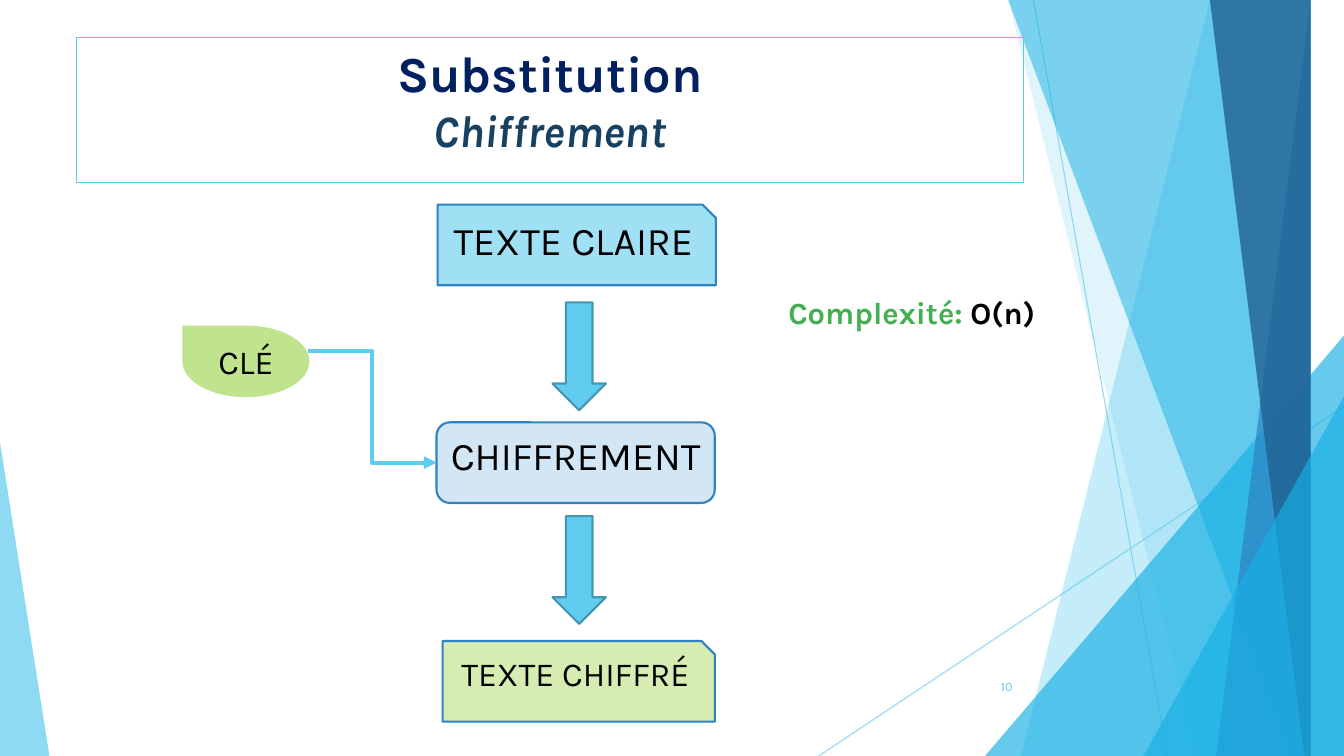
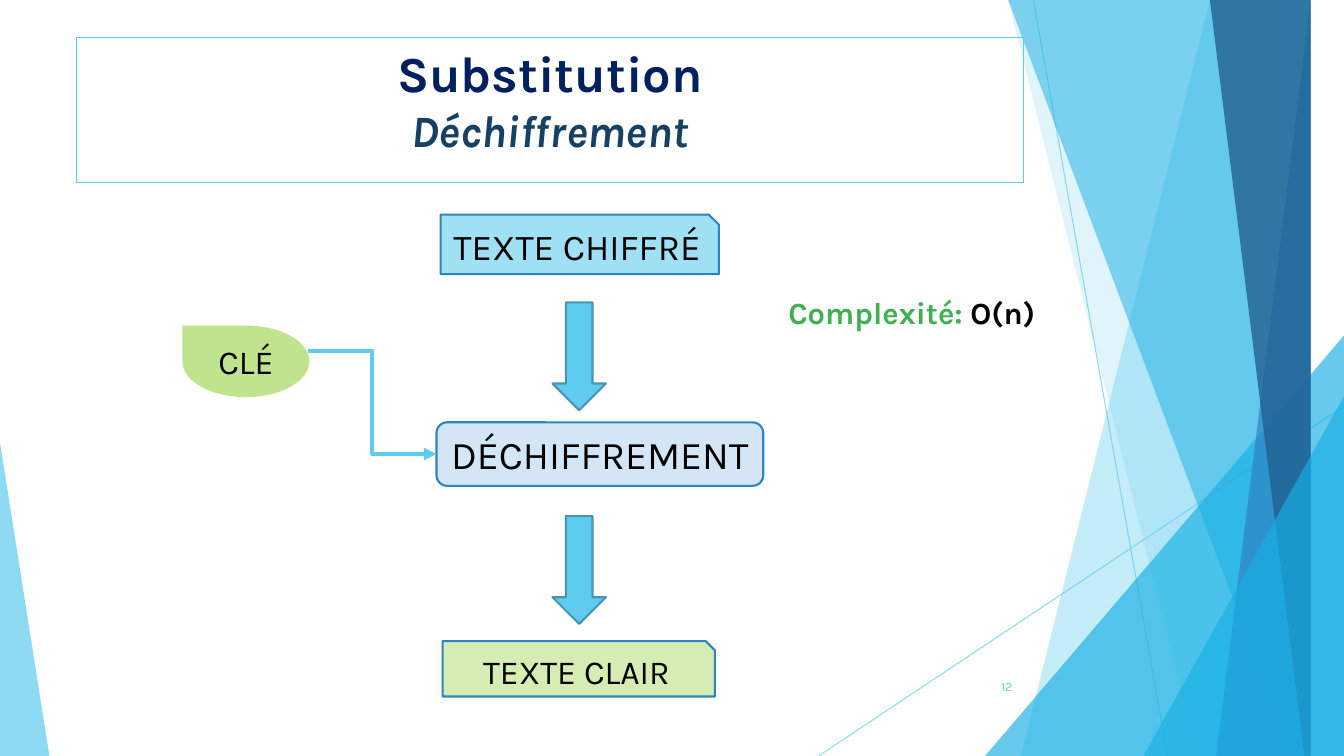
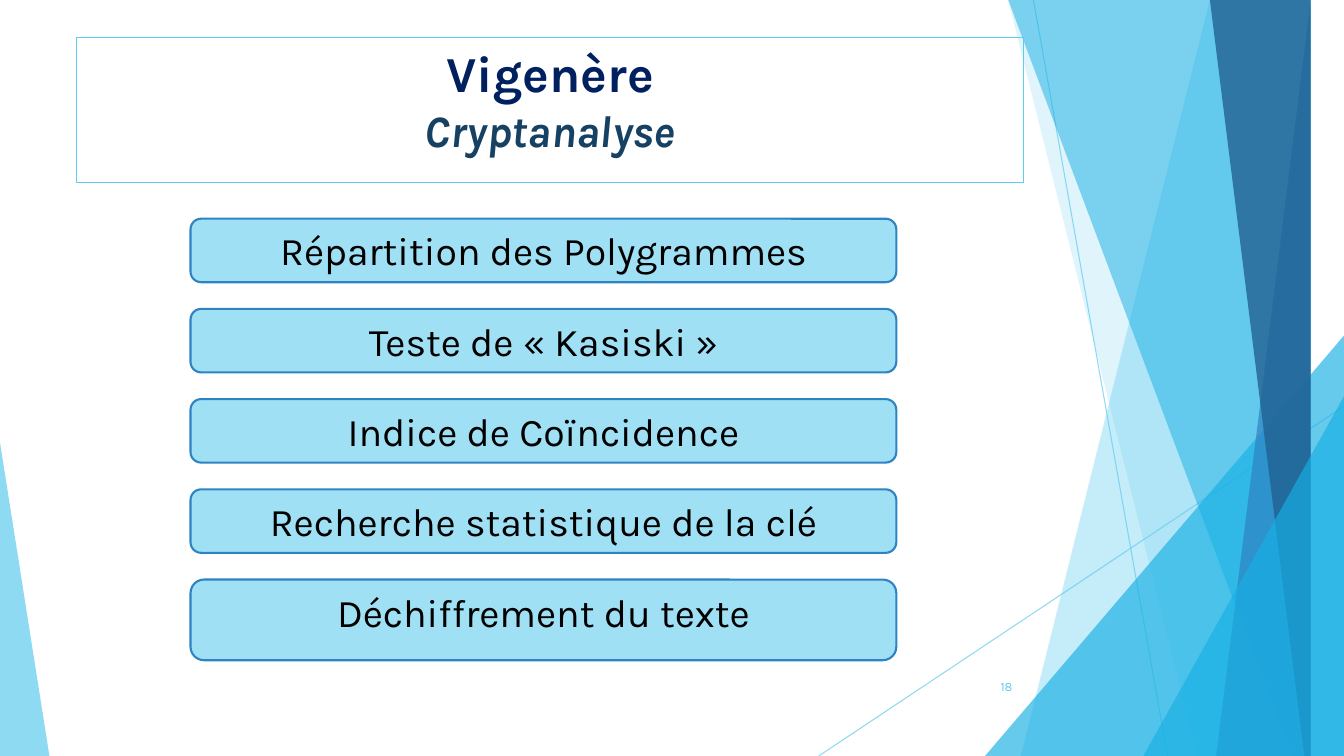
from collections import namedtuple

from lxml import etree
from pptx import Presentation
from pptx import util as u
from pptx.dml import color
from pptx.enum import shapes, text
from pptx.oxml import ns

Box = namedtuple("Box", "left top width height")
Step = namedtuple("Step", "label box size")

FONT = "Karla"
COLORS = {
    "sky": "5FCBEF", "cyan": "17B0E4", "blue": "2E83C3", "deep": "226292",
    "pale_sky": "9FE0F5", "pale_blue": "D3E6F5", "leaf": "C0E38D",
    "pale_leaf": "D5EDB3", "arrow_edge": "4696B1", "title": "002060",
    "subtitle": "174162", "green": "42B051", "black": "000000",
}
SHAPE = shapes.MSO_SHAPE
ALIGN = text.PP_ALIGN
WIDTH, HEIGHT = 13.33, 7.5
TITLE_BOX = Box(0.76, 0.37, 9.39, 1.44)
NUMBER_BOX = Box(9.39, 6.61, 0.75, 0.4)
FLOW_BOX = Box(1.81, 2.03, 5.76, 5.13)
COMPLEXITY_BOX = Box(7.72, 2.86, 2.71, 1.21)
STEPS_BOX = Box(1.89, 2.17, 7, 4.38)


def inches(*lengths):
    """Convert several numbers to inch lengths."""
    return [u.Inches(length) for length in lengths]


def within(region, box):
    """Turn a box measured from a region's corner into a slide box."""
    return box._replace(left=region.left + box.left, top=region.top + box.top)


def paint(fill, name, opacity=100):
    """Give a fill a palette colour and an opacity in percent."""
    fill.solid()
    fill.fore_color.rgb = color.RGBColor.from_string(COLORS[name])
    if opacity < 100:
        rgb = fill._xPr.find(".//" + ns.qn("a:srgbClr"))
        etree.SubElement(rgb, ns.qn("a:alpha"), val=str(opacity * 1000))


def finish(shape, fill=None, line=None, weight=1.5, opacity=100):
    """Set fill and outline of a shape and drop its shadow."""
    shape.shadow.inherit = False
    if fill:
        paint(shape.fill, fill, opacity)
    else:
        shape.fill.background()
    if line:
        paint(shape.line.fill, line)
        shape.line.width = u.Pt(weight)
    else:
        shape.line.fill.background()
    return shape


def add_shape(slide, kind, box, fill=None, line=None, weight=1.5, opacity=100):
    """Add a preset shape in the given box."""
    shape = slide.shapes.add_shape(kind, *inches(*box))
    return finish(shape, fill, line, weight, opacity)


def add_line(slide, kind, points, weight, opacity=100):
    """Add a sky-blue connector without a shadow."""
    connector = slide.shapes.add_connector(kind, *inches(*points))
    connector.line.width = u.Pt(weight)
    paint(connector.line.fill, "sky", opacity)
    etree.SubElement(connector._element.spPr, ns.qn("a:effectLst"))
    return connector


def style(paragraph, size, ink=None, align=ALIGN.CENTER, bold=False, italic=False):
    """Set alignment and font of a paragraph."""
    paragraph.alignment = align
    font = paragraph.font
    font.name, font.size, font.bold, font.italic = FONT, u.Pt(size), bold, italic
    if ink:
        font.color.rgb = color.RGBColor.from_string(COLORS[ink])


def label(shape, words, size):
    """Write one centred black line at the top of a shape."""
    frame = shape.text_frame
    frame.word_wrap = False
    frame.vertical_anchor = text.MSO_ANCHOR.TOP
    frame.text = words
    style(frame.paragraphs[0], size, "black")


def add_facet(slide, top_left, top_right, bottom_right, bottom_left, fill, opacity):
    """Add a four-sided facet reaching from the top to the bottom edge."""
    top = -0.01
    builder = slide.shapes.build_freeform(top_left, top, scale=u.Inches(1))
    builder.add_line_segments(
        [(top_right, top), (bottom_right, HEIGHT), (bottom_left, HEIGHT)])
    finish(builder.convert_to_shape(), fill, opacity=opacity)


def add_corner(slide, box, apex, fill, opacity):
    """Add a triangle whose apex sits at a share of its width."""
    corner = add_shape(slide, SHAPE.ISOSCELES_TRIANGLE, box, fill, opacity=opacity)
    corner.adjustments[0] = apex


def decorate(layout, slide):
    """Draw the shared facets and hand them to the layout."""
    for points in ((10.25, 0, 11.58, HEIGHT), (WIDTH, 4.03, 8.12, HEIGHT)):
        add_line(slide, shapes.MSO_CONNECTOR.STRAIGHT, points, 0.75, 70)
    add_facet(slide, 12.28, WIDTH, WIDTH, 10.04, "sky", 36)
    add_facet(slide, 10.5, WIDTH, WIDTH, 11.83, "sky", 20)
    add_corner(slide, Box(9.77, 3.33, 3.56, 4.17), 1, "cyan", 66)
    add_facet(slide, 10.21, WIDTH, WIDTH, 12.91, "cyan", 50)
    add_facet(slide, 13.03, WIDTH, WIDTH, 11.92, "blue", 70)
    add_facet(slide, 11.96, WIDTH, WIDTH, 13.18, "deep", 80)
    add_corner(slide, Box(11.34, 3.93, 1.99, 3.57), 1, "cyan", 66)
    add_corner(slide, Box(0, 4.39, 0.49, 3.11), 0, "sky", 70)
    for placeholder in list(layout.placeholders):
        layout.shapes.element.remove(placeholder.element)
    for shape in list(slide.shapes):
        layout.shapes.element.append(shape.element)


def add_title(slide, box, title, subtitle):
    """Add the framed title with its italic second line."""
    frame = add_shape(slide, SHAPE.RECTANGLE, box, line="sky", weight=0.75).text_frame
    frame.word_wrap = True
    frame.vertical_anchor = text.MSO_ANCHOR.TOP
    frame.text = f"{title}\n{subtitle}"
    heading, second = frame.paragraphs
    style(heading, 36, "title", bold=True)
    style(second, 32, "subtitle", bold=True, italic=True)


def add_number(slide, box, number):
    """Add the page number at the lower right."""
    frame = slide.shapes.add_textbox(*inches(*box)).text_frame
    frame.word_wrap = True
    frame.vertical_anchor = text.MSO_ANCHOR.MIDDLE
    frame.text = str(number)
    style(frame.paragraphs[0], 9, "sky", ALIGN.RIGHT)


def add_complexity(slide, box):
    """Add the complexity note in two colours."""
    frame = slide.shapes.add_textbox(*inches(*box)).text_frame
    frame.word_wrap = True
    paragraph = frame.paragraphs[0]
    style(paragraph, 22, align=ALIGN.LEFT, bold=True)
    for words, ink in (("Complexité: ", "green"), ("O(n)", "black")):
        run = paragraph.add_run()
        run.text = words
        run.font.color.rgb = color.RGBColor.from_string(COLORS[ink])


def add_flow(slide, region, steps):
    """Add source, process and result with arrows and the key."""
    looks = ((SHAPE.SNIP_1_RECTANGLE, "pale_sky"),
             (SHAPE.ROUNDED_RECTANGLE, "pale_blue"),
             (SHAPE.SNIP_1_RECTANGLE, "pale_leaf"))
    for step, (kind, fill) in zip(steps, looks):
        shape = add_shape(slide, kind, within(region, step.box), fill, "blue")
        label(shape, step.label, step.size)
    for top in (0.97, 3.09):
        arrow_box = within(region, Box(3.67, top, 0.53, 1.07))
        add_shape(slide, SHAPE.DOWN_ARROW, arrow_box, "sky", "arrow_edge")
    key = add_shape(slide, SHAPE.TEAR, within(region, Box(0, 1.2, 1.26, 0.71)), "leaf")
    key._element.spPr.xfrm.set("flipH", "1")
    label(key, "CLÉ", 24)
    process = within(region, steps[1].box)
    link = add_line(slide, shapes.MSO_CONNECTOR.ELBOW,
                    (region.left + 1.24, region.top + 1.45,
                     process.left, process.top + process.height / 2), 3)
    etree.SubElement(link.line._get_or_add_ln(), ns.qn("a:tailEnd"), type="triangle")


def add_steps(slide, region, names):
    """Stack equal steps at an even pitch, the last one filling the region."""
    height, pitch = 0.63, 0.895
    for index, name in enumerate(names):
        top = index * pitch
        if index == len(names) - 1:
            height = region.height - top
        box = within(region, Box(0, top, region.width, height))
        step = add_shape(slide, SHAPE.FLOWCHART_ALTERNATE_PROCESS, box, "pale_sky", "blue")
        label(step, name, 28)


def flow_slide(slide, subtitle, number, steps):
    """Fill a slide showing a substitution flow."""
    add_flow(slide, FLOW_BOX, steps)
    add_title(slide, TITLE_BOX, "Substitution", subtitle)
    add_complexity(slide, COMPLEXITY_BOX)
    add_number(slide, NUMBER_BOX, number)


def steps_slide(slide, title, subtitle, number, names):
    """Fill a slide showing a stack of steps."""
    add_steps(slide, STEPS_BOX, names)
    add_title(slide, TITLE_BOX, title, subtitle)
    add_number(slide, NUMBER_BOX, number)


def main():
    """Build and save the presentation."""
    presentation = Presentation()
    presentation.slide_width, presentation.slide_height = inches(WIDTH, HEIGHT)
    blank = presentation.slide_layouts[6]
    encryption, decryption, analysis = [
        presentation.slides.add_slide(blank) for _ in range(3)]
    decorate(blank, encryption)
    flow_slide(encryption, "Chiffrement", 10, (
        Step("TEXTE CLAIRE", Box(2.53, 0, 2.76, 0.8), 28),
        Step("CHIFFREMENT", Box(2.52, 2.16, 2.76, 0.8), 28),
        Step("TEXTE CHIFFRÉ", Box(2.58, 4.33, 2.7, 0.8), 24)))
    flow_slide(decryption, "Déchiffrement", 12, (
        Step("TEXTE CHIFFRÉ", Box(2.56, 0.1, 2.76, 0.59), 26),
        Step("DÉCHIFFREMENT", Box(2.52, 2.16, 3.24, 0.63), 28),
        Step("TEXTE CLAIR", Box(2.58, 4.33, 2.7, 0.55), 24)))
    steps_slide(analysis, "Vigenère", "Cryptanalyse", 18, (
        "Répartition des Polygrammes", "Teste de «\u00a0Kasiski\u00a0»",
        "Indice de Coïncidence", "Recherche statistique de la clé",
        "Déchiffrement du texte"))
    presentation.save("out.pptx")


main()
